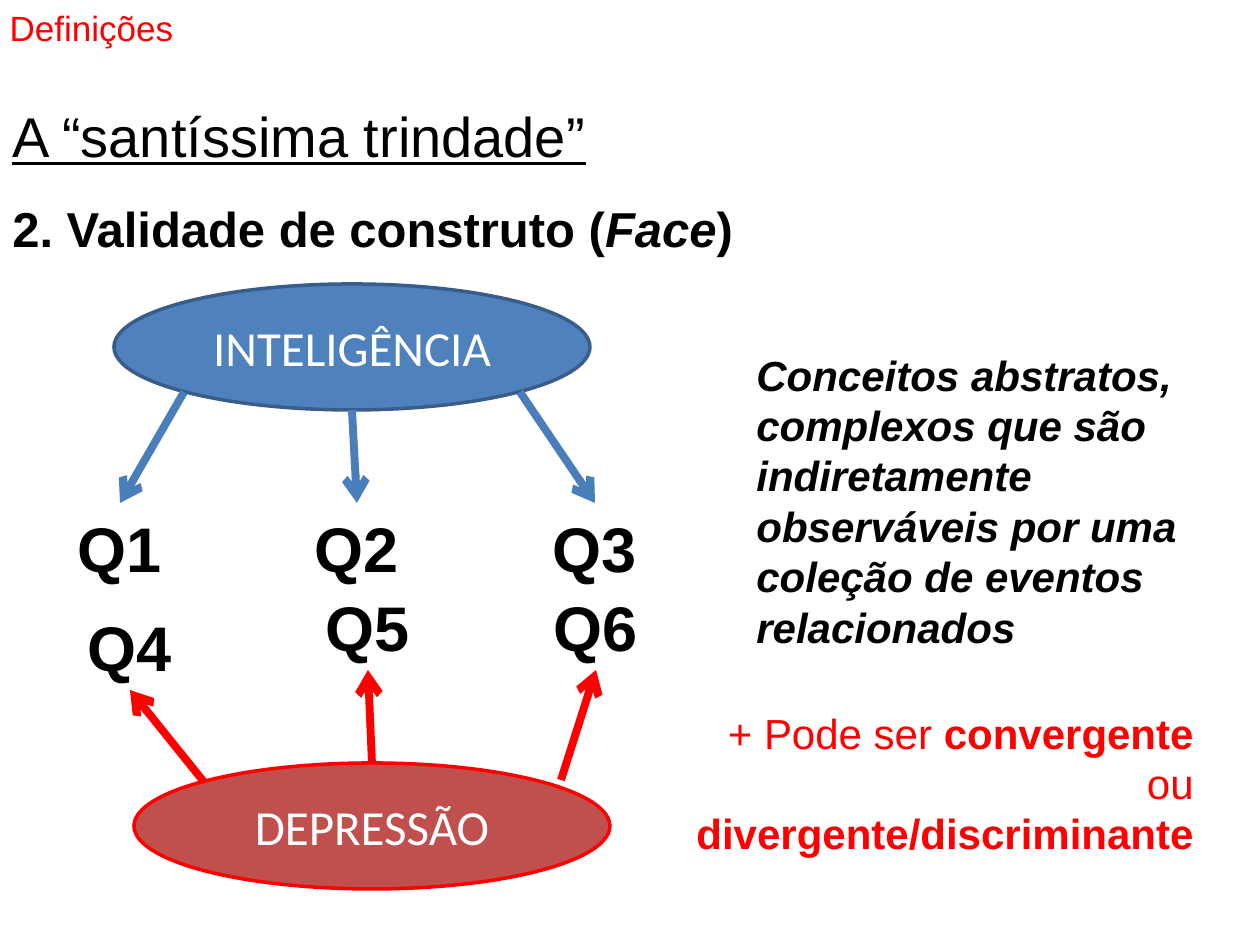
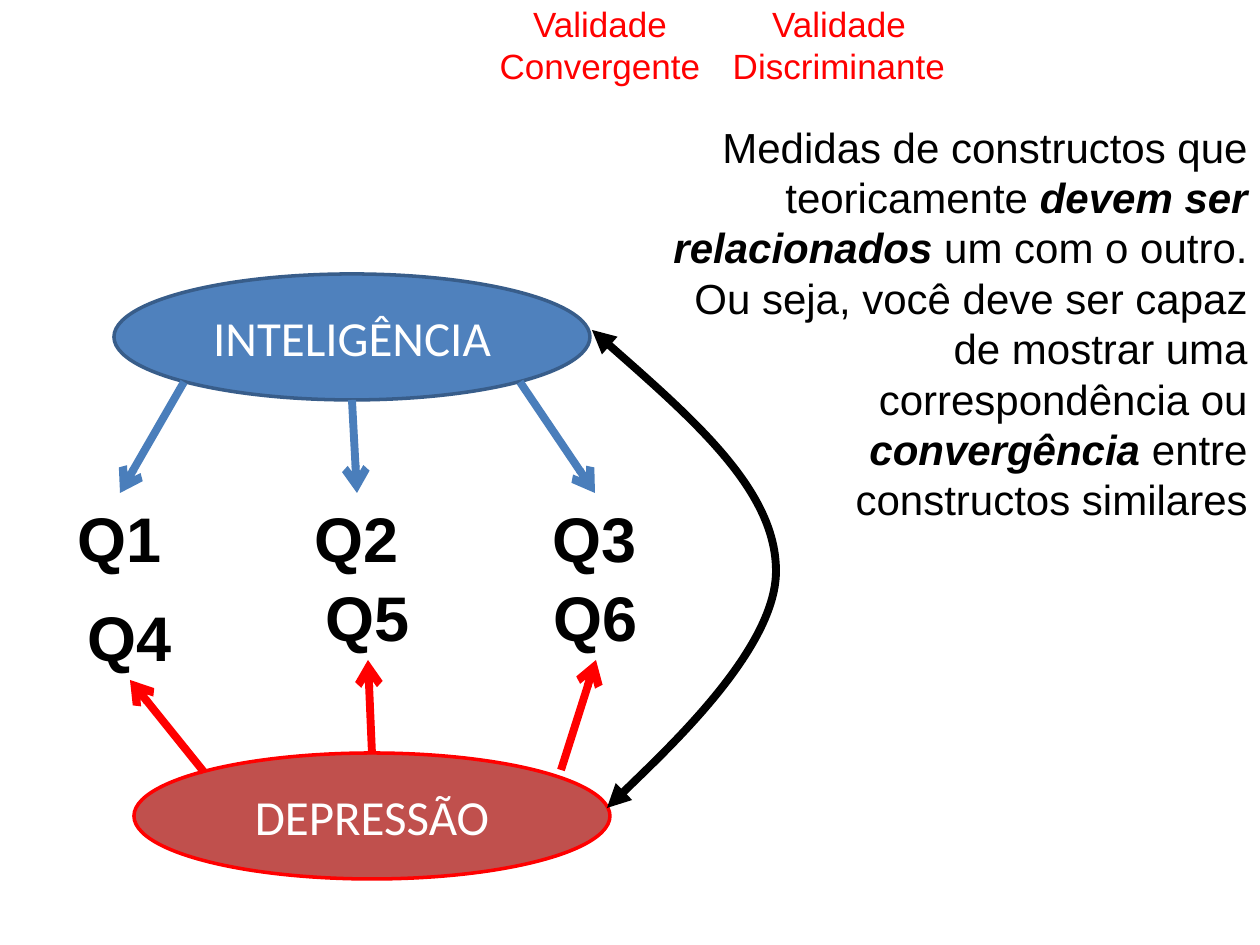
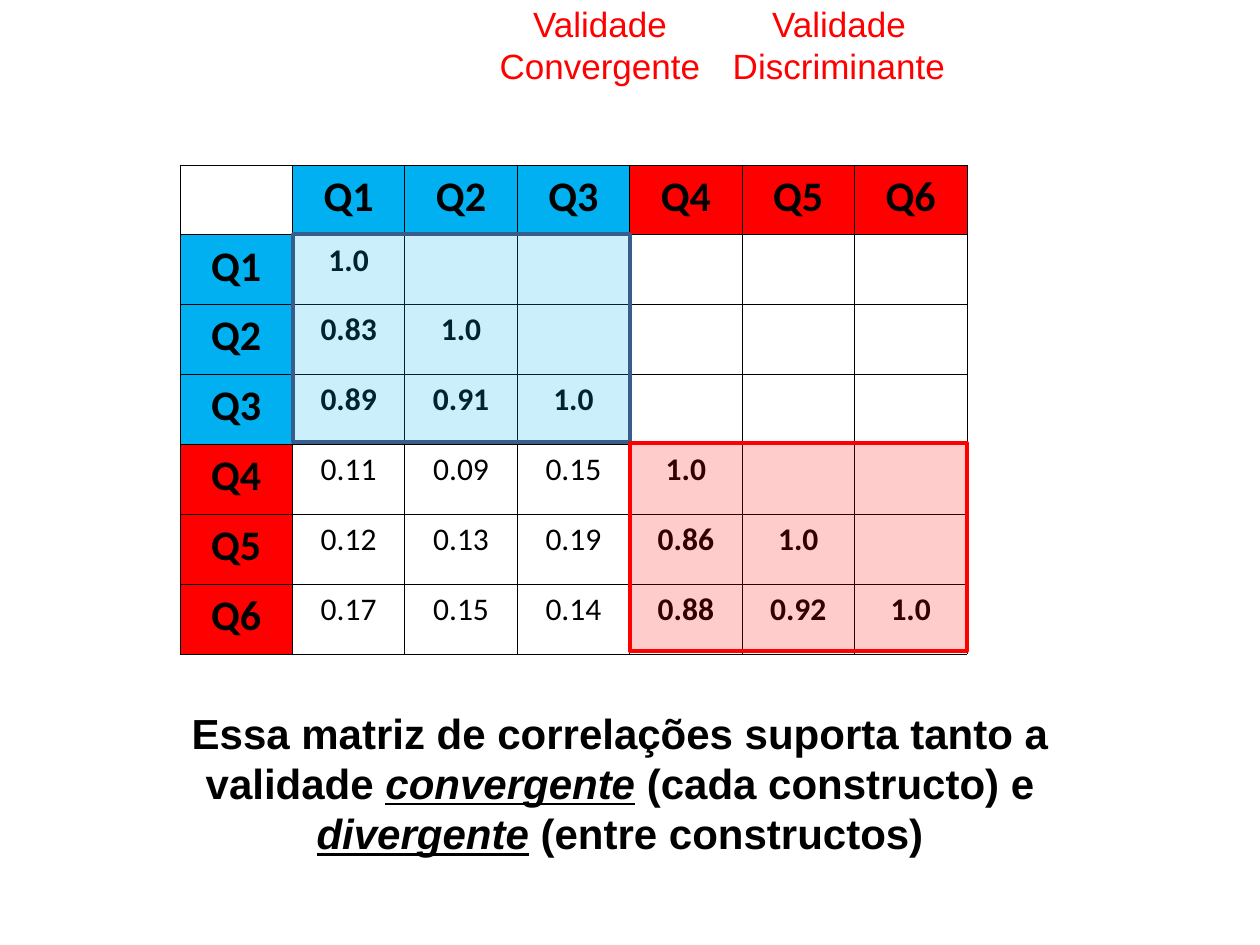
from lxml.etree import SubElement
from pptx import Presentation
from pptx.dml.color import RGBColor
from pptx.enum.shapes import MSO_CONNECTOR, MSO_SHAPE
from pptx.enum.text import MSO_ANCHOR, MSO_AUTO_SIZE, PP_ALIGN
from pptx.oxml.ns import qn
from pptx.util import Pt

SCALE = 914400 / 126
BLACK, WHITE, RED = "000000", "FFFFFF", "FF0000"
BLUE, NAVY, ARROW_BLUE, CYAN, BRICK = "4F81BD", "385D8A", "4A7EBB", "00B0F0", "C0504D"
LEFT, CENTER, RIGHT = PP_ALIGN.LEFT, PP_ALIGN.CENTER, PP_ALIGN.RIGHT
ITEM_W, ITEM_H = 110, 88
CORRELATIONS = [
    ["1.0"],
    ["0.83", "1.0"],
    ["0.89", "0.91", "1.0"],
    ["0.11", "0.09", "0.15", "1.0"],
    ["0.12", "0.13", "0.19", "0.86", "1.0"],
    ["0.17", "0.15", "0.14", "0.88", "0.92", "1.0"],
]


def px(*values):
    """Turn px lengths into a list of EMU lengths."""
    return [round(v * SCALE) for v in values]


def rgb(color):
    """Turn a hex string into a colour."""
    return RGBColor.from_string(color)


def write(tf, *paragraphs, size=24, color=BLACK, font="Arial", align=LEFT, style="", gap=0):
    """Write paragraphs of text or (text, style, size) runs; style letters are b, i, u."""
    for n, runs in enumerate(paragraphs):
        p = tf.add_paragraph() if n else tf.paragraphs[0]
        p.alignment = align
        if n:
            p.space_before = Pt(gap)
        for run in [(runs, style)] if isinstance(runs, str) else runs:
            text, marks = run[0], run[1]
            r = p.add_run()
            r.text = text
            f = r.font
            f.name, f.color.rgb = font, rgb(color)
            f.size = Pt(run[2] if len(run) > 2 else size)
            f.bold, f.italic, f.underline = "b" in marks, "i" in marks, "u" in marks


def add_text(s, box, *paragraphs, wrap=True, **fmt):
    """Add a text box that grows with its text."""
    tf = s.shapes.add_textbox(*px(*box)).text_frame
    tf.word_wrap = wrap
    tf.auto_size = MSO_AUTO_SIZE.SHAPE_TO_FIT_TEXT
    write(tf, *paragraphs, **fmt)


def add_title(s, box, text):
    """Place the red title in the title placeholder."""
    sp = s.shapes.title
    sp.left, sp.top, sp.width, sp.height = px(*box)
    tf = sp.text_frame
    tf.auto_size, tf.vertical_anchor = MSO_AUTO_SIZE.NONE, MSO_ANCHOR.TOP
    write(tf, text, size=20, color=RED, align=CENTER)


def add_validity_titles(s):
    """Add the pair of headings for convergent and discriminant validity."""
    add_title(s, (441, -4, 318, 97), "Validade Convergente")
    add_text(s, (680, -4, 318, 97), "Validade Discriminante", size=20, color=RED, align=CENTER)


def add_filled(s, kind, box, fill, line, alpha=None):
    """Add a preset shape with a 2 pt outline and optional opacity in percent."""
    sp = s.shapes.add_shape(kind, *px(*box))
    sp.shadow.inherit = False
    sp.fill.solid()
    sp.fill.fore_color.rgb = rgb(fill)
    sp.line.color.rgb, sp.line.width = rgb(line), Pt(2)
    if alpha:
        clr = sp.fill._xPr.find(qn("a:solidFill"))[0]
        SubElement(clr, qn("a:alpha"), val=str(alpha * 1000))
    return sp


def add_construct(s, x, y, text, fill, line):
    """Add the ellipse of a construct."""
    sp = add_filled(s, MSO_SHAPE.OVAL, (x, y, 476, 126), fill, line)
    sp.text_frame.vertical_anchor = MSO_ANCHOR.MIDDLE
    write(sp.text_frame, text, size=28, color=WHITE, font="Calibri", align=CENTER)


def style_line(line, color, **ends):
    """Make a thick line with the given arrowheads."""
    line.color.rgb, line.width = rgb(color), Pt(4.5)
    for end, kind in ends.items():
        SubElement(line._get_or_add_ln(), qn("a:" + end), type=kind)


def add_arrow(s, tip, start, color):
    """Add a straight arrow whose head is at tip."""
    cn = s.shapes.add_connector(MSO_CONNECTOR.STRAIGHT, *px(*tip, *start))
    style_line(cn.line, color, headEnd="arrow")
    SubElement(cn._element.spPr, qn("a:effectLst"))


def add_curve(s, start, *points):
    """Add a double-headed curve from groups of three Bézier points."""
    fb = s.shapes.build_freeform(*start, scale=SCALE)
    fb.add_line_segments(points, close=False)
    sp = fb.convert_to_shape()
    sp.shadow.inherit = False
    sp.fill.background()
    style_line(sp.line, BLACK, headEnd="triangle", tailEnd="triangle")
    path = next(sp._element.iter(qn("a:path")))
    segments = path.findall(qn("a:lnTo"))
    for n in range(0, len(segments), 3):
        bezier = SubElement(path, qn("a:cubicBezTo"))
        for segment in segments[n:n + 3]:
            bezier.append(segment[0])
            path.remove(segment)


def add_model(s, top):
    """Add both constructs, their items and the arrows between them."""
    add_construct(s, 114, top, "INTELIGÊNCIA", BLUE, NAVY)
    add_construct(s, 134, top + 479, "DEPRESSÃO", BRICK, RED)
    items = [
        ("Q1", 65, 219, (184, 108), ARROW_BLUE),
        ("Q2", 302, 219, (352, 126), ARROW_BLUE),
        ("Q3", 540, 219, (520, 108), ARROW_BLUE),
        ("Q4", 75, 318, (204, 498), RED),
        ("Q5", 313, 298, (372, 480), RED),
        ("Q6", 541, 298, (561, 496), RED),
    ]
    for name, x, y, (start_x, start_y), color in items:
        add_text(s, (x, top + y, ITEM_W, ITEM_H), name, wrap=False, size=36, style="b")
        tip_y = top + y + (ITEM_H if start_y > y else 0)
        add_arrow(s, (x + ITEM_W // 2, tip_y), (start_x, top + start_y), color)


def format_cell(cell, text="", fill=None, **fmt):
    """Give a cell thin borders, its fill and its text."""
    tc_pr = cell._tc.get_or_add_tcPr()
    for side in ("lnL", "lnR", "lnT", "lnB"):
        ln = SubElement(tc_pr, qn("a:" + side), w=str(Pt(0.45)))
        SubElement(SubElement(ln, qn("a:solidFill")), qn("a:srgbClr"), val=BLACK)
    if fill:
        cell.fill.solid()
        cell.fill.fore_color.rgb = rgb(fill)
    else:
        cell.fill.background()
    if text:
        write(cell.text_frame, text, font="Calibri", align=CENTER, **fmt)


def add_matrix(s, box):
    """Add the correlation matrix with a coloured header on two sides."""
    count = len(CORRELATIONS) + 1
    table = s.shapes.add_table(count, count, *px(*box)).table
    table.first_row = table.horz_banding = False
    for row in range(count):
        for col in range(count):
            cell = table.cell(row, col)
            if row and col:
                values = CORRELATIONS[row - 1]
                text = values[col - 1] if col <= row else ""
                same = (row - 1) // 3 == (col - 1) // 3
                format_cell(cell, text, size=18, style="b" if same else "")
            elif row or col:
                n = row or col
                format_cell(cell, f"Q{n}", CYAN if n <= 3 else RED, style="b")
            else:
                format_cell(cell)


def build_definitions(s):
    """Build the slide on construct validity."""
    add_title(s, (-5, 0, 193, 55), "Definições")
    add_text(s, (0, 95, 958, 169),
             [("A “santíssima trindade”", "u", 32)],
             [("2. Validade de construto (", "b"), ("Face", "bi"), (")", "b")],
             size=28, gap=17)
    add_model(s, 284)
    add_text(s, (744, 343, 512, 315),
             "Conceitos abstratos, complexos que são indiretamente observáveis "
             "por uma coleção de eventos relacionados", style="bi")
    add_text(s, (670, 701, 536, 164),
             [("+ Pode ser ", ""), ("convergente", "b"), (" ou ", ""),
              ("divergente/discriminante", "b")], color=RED, align=RIGHT)


def build_convergence(s):
    """Build the slide on related constructs."""
    add_validity_titles(s)
    add_model(s, 274)
    add_curve(s, (592, 330), (683, 410), (774, 489), (776, 568),
              (779, 648), (607, 808), (607, 808))
    add_text(s, (660, 115, 600, 416),
             [("Medidas de constructos que teoricamente ", ""),
              ("devem ser relacionados ", "bi"), ("um com o outro.", "")],
             [("Ou seja, você deve ser capaz de mostrar uma correspondência ou ", ""),
              ("convergência", "bi"), (" entre constructos similares", "")],
             align=RIGHT)


def build_matrix(s):
    """Build the slide with the correlation matrix."""
    add_validity_titles(s)
    add_matrix(s, (180, 165, 787, 489))
    add_filled(s, MSO_SHAPE.RECTANGLE, (293, 234, 337, 208), CYAN, NAVY, alpha=20)
    add_filled(s, MSO_SHAPE.RECTANGLE, (630, 443, 337, 208), RED, RED, alpha=20)
    add_text(s, (104, 701, 1032, 164),
             [("Essa matriz de correlações suporta tanto a validade ", "b"),
              ("convergente", "biu"), (" (cada constructo) e ", "b"),
              ("divergente", "biu"), (" (entre constructos)", "b")], align=CENTER)


def main():
    """Build and save the presentation."""
    prs = Presentation()
    prs.slide_width, prs.slide_height = px(1260, 945)
    for build in (build_definitions, build_convergence, build_matrix):
        build(prs.slides.add_slide(prs.slide_layouts[5]))
    prs.save("out.pptx")


if __name__ == "__main__":
    main()
